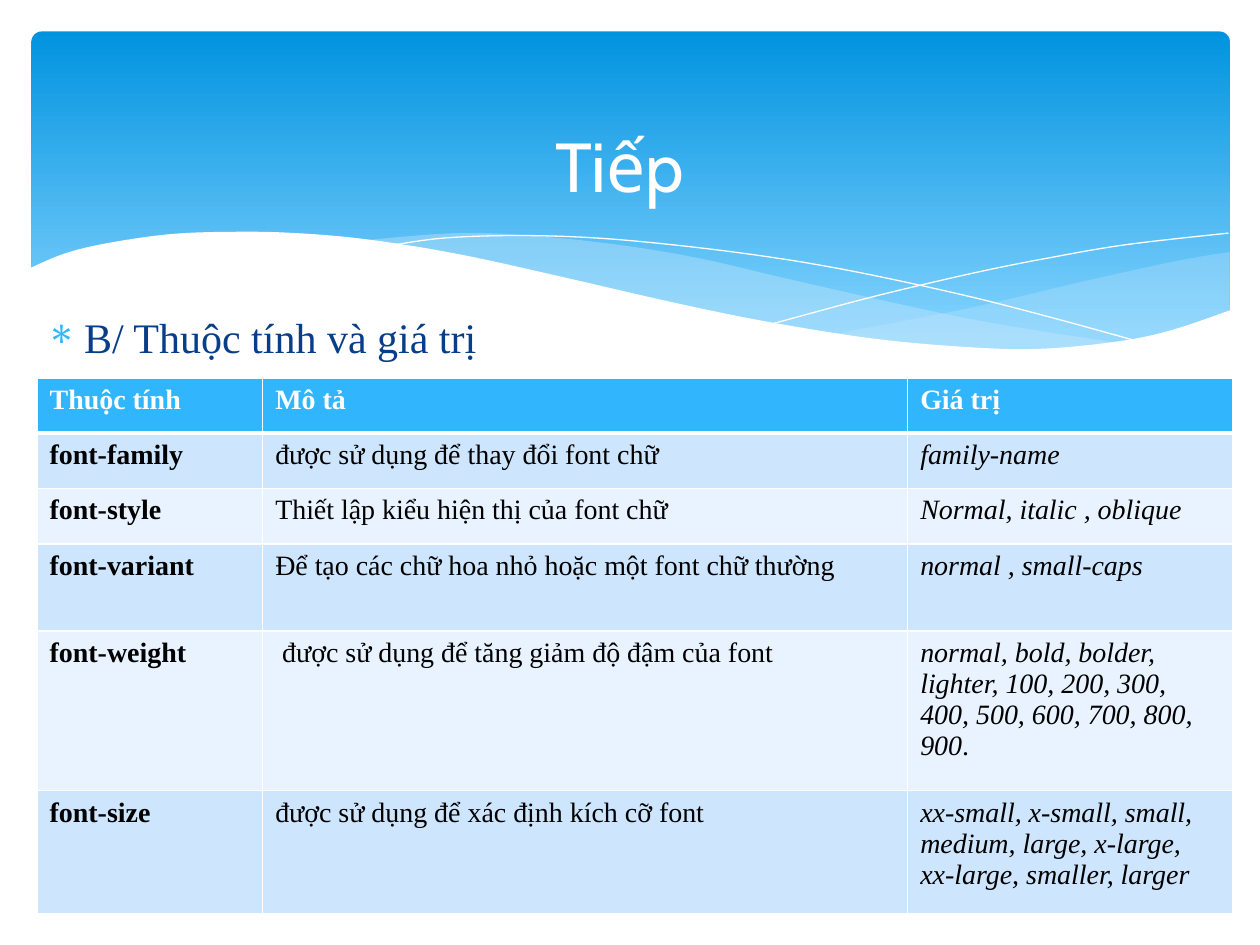
from dataclasses import dataclass

from lxml.etree import SubElement
from pptx import Presentation
from pptx.dml.color import RGBColor as Rgb
from pptx.enum.shapes import MSO_SHAPE as Shape
from pptx.enum.text import MSO_ANCHOR as Anchor, PP_ALIGN as Align
from pptx.oxml.ns import qn
from pptx.util import Pt


@dataclass(frozen=True)
class Theme:
    white: str = "FFFFFF"
    black: str = "000000"
    accent: str = "31B6FD"
    heading: str = "073E87"
    mist: str = "C6E7FC"
    sky: tuple = ("0293E0", "83D3FE")
    bands: tuple = ("CEE5FE", "E8F3FF")
    title_font: str = "Cabin"
    body_font: str = "Times New Roman"
    title_size: float = 39.6
    body_size: float = 24
    table_size: float = 16


THEME = Theme()
TITLE = "Tiếp"
SUBTITLE = "B/ Thuộc tính và giá trị"
HEADER = ("Thuộc tính", "Mô tả", "Giá trị")
# A value given as a pair has an italic part and an upright ending.
PROPERTIES = [
    ("font-family", "được sử dụng để thay đổi font chữ", "family-name"),
    ("font-style", "Thiết lập kiểu hiện thị của font chữ", "Normal, italic , oblique"),
    ("font-variant", "Để tạo các chữ hoa nhỏ hoặc một font chữ thường", "normal , small-caps"),
    ("font-weight", " được sử dụng để tăng giảm độ đậm của font",
     ("normal, bold, bolder, lighter, 100, 200, 300, 400, 500, 600, 700, 800, 900", ".")),
    ("font-size", "được sử dụng để xác định kích cỡ font",
     "xx-small, x-small, small, medium, large, x-large, xx-large, smaller, larger"),
]
COLUMN_WIDTHS = (128.9, 368.6, 185.8)
ROW_HEIGHTS = (31.4, 31.7, 31.7, 49.7, 91.4, 70.2)

# Knots of the wave edges, in points.
RIGHT_WAVE = [
    [(702.7, 144), (673, 149), (620, 160.6), (561, 174.5), (508, 185), (476, 191)],
    [(476, 191), (518, 196), (554, 199), (593, 199.8), (628, 197.5), (663, 191),
     (683, 185), (702.7, 177.8)],
]
MIDDLE_WAVE = [
    [(643, 196.5), (581, 187), (533.5, 178), (453, 160), (399.6, 147.6), (352, 139.7),
     (302.4, 134.6), (260, 133.2), (206, 137.5)],
    [(206, 137.5), (260.6, 146), (323, 160), (381.6, 173), (445, 186), (500, 194.4),
     (548, 199.4), (589, 200.2), (617, 199.4), (643, 196.5)],
]
FALLING_LINE = [
    [(222.5, 140.4), (254, 136), (299.5, 134.6), (352, 136.8), (419, 144), (479, 153.4),
     (547, 167.8), (598, 180.7), (653, 195.8)],
]
RISING_LINE = [
    [(441.5, 185), (500.4, 169.2), (558.7, 155.5), (602, 146.9), (644.4, 139.7), (702, 133.2)],
]
WHITE_WAVE = [
    [(703.4, 177.1), (669.6, 188.6), (638.6, 195.1), (592.6, 199.4), (548, 198),
     (495.4, 193), (434, 183), (381, 172), (322, 158.4), (263, 145.4), (210, 136.8),
     (165.6, 133), (127.4, 132.5), (95, 134), (61, 139), (37.4, 144.7), (16.6, 153.4)],
    [(16.6, 236.9), (703.4, 236.9)],
]


def smooth(knots, steps=6):
    """Return points on a Catmull-Rom curve through the knots."""
    if len(knots) < 3:
        return knots
    padded = [knots[0], *knots, knots[-1]]
    points = [knots[0]]
    for before, start, end, after in zip(padded, padded[1:], padded[2:], padded[3:]):
        for step in range(1, steps + 1):
            t = step / steps
            points.append(tuple(
                (2 * b + (c - a) * t + (2 * a - 5 * b + 4 * c - d) * t**2
                 + (3 * b - a - 3 * c + d) * t**3) / 2
                for a, b, c, d in zip(before, start, end, after)))
    return points


def add_curve(slide, edges, closed):
    units = 100
    points = [(round(x * units), round(y * units)) for edge in edges for x, y in smooth(edge)]
    builder = slide.shapes.build_freeform(*points[0], scale=Pt(1) / units)
    builder.add_line_segments(points[1:], close=closed)
    curve = builder.convert_to_shape()
    curve.shadow.inherit = False
    return curve


def add_wave(slide, edges, color, opacity=100):
    wave = add_curve(slide, edges, True)
    wave.line.fill.background()
    wave.fill.solid()
    wave.fill.fore_color.rgb = Rgb.from_string(color)
    if opacity < 100:
        tint = wave.fill._xPr.find(".//" + qn("a:srgbClr"))
        SubElement(tint, qn("a:alpha"), val=str(opacity * 1000))


def add_hairline(slide, edges):
    line = add_curve(slide, edges, False)
    line.fill.background()
    line.line.color.rgb = Rgb.from_string(THEME.white)
    line.line.width = Pt(0)


def add_banner(slide):
    banner = slide.shapes.add_shape(Shape.ROUNDED_RECTANGLE, Pt(18), Pt(18), Pt(684.7), Pt(194.4))
    banner.adjustments[0] = 0.03
    banner.shadow.inherit = False
    banner.line.fill.background()
    banner.fill.gradient()
    banner.fill.gradient_angle = 270
    for stop, color, position in zip(banner.fill.gradient_stops, THEME.sky, (0, 0.9)):
        stop.color.rgb = Rgb.from_string(color)
        stop.position = position


def style(font, name, size, color):
    font.name, font.size = name, Pt(size)
    font.color.rgb = Rgb.from_string(color)


def add_text(slide, text, frame, font_name, size, color):
    box = slide.shapes.add_textbox(*map(Pt, frame))
    box.text_frame.word_wrap = True
    para = box.text_frame.paragraphs[0]
    para.text = text
    style(para.font, font_name, size, color)
    return box, para


def add_bullet(para, symbol, color):
    props = para._p.get_or_add_pPr()
    props.set("marL", str(Pt(23)))
    props.set("indent", str(Pt(-21.6)))
    bullet_color = SubElement(props, qn("a:buClr"))
    SubElement(bullet_color, qn("a:srgbClr"), val=color)
    SubElement(props, qn("a:buChar"), char=symbol)
    props.append(props.find(qn("a:defRPr")))


def set_borders(cell, bottom_width):
    props = cell._tc.get_or_add_tcPr()
    for side, width in (("L", 1), ("R", 1), ("T", 1), ("B", bottom_width)):
        line = SubElement(props, qn(f"a:ln{side}"), w=str(Pt(width)))
        SubElement(SubElement(line, qn("a:solidFill")), qn("a:srgbClr"), val=THEME.white)


def fill_cell(cell, content, row, column):
    is_header = row == 0
    set_borders(cell, 3 if is_header else 1)
    cell.fill.solid()
    cell.fill.fore_color.rgb = Rgb.from_string(
        THEME.accent if is_header else THEME.bands[(row - 1) % 2])
    para = cell.text_frame.paragraphs[0]
    parts = (content,) if isinstance(content, str) else content
    for index, text in enumerate(parts):
        span = para.add_run()
        span.text = text
        style(span.font, THEME.body_font, THEME.table_size,
              THEME.white if is_header else THEME.black)
        span.font.bold = is_header or column == 0
        span.font.italic = not is_header and column == 2 and index == 0


def add_property_table(slide):
    rows = [HEADER, *PROPERTIES]
    table = slide.shapes.add_table(
        len(rows), len(HEADER), Pt(21.2), Pt(216),
        Pt(sum(COLUMN_WIDTHS)), Pt(sum(ROW_HEIGHTS))).table
    for column, width in zip(table.columns, COLUMN_WIDTHS):
        column.width = Pt(width)
    for row, height in zip(table.rows, ROW_HEIGHTS):
        row.height = Pt(height)
    for r, contents in enumerate(rows):
        for c, content in enumerate(contents):
            fill_cell(table.cell(r, c), content, r, c)


def main():
    deck = Presentation()
    deck.slide_width, deck.slide_height = Pt(720), Pt(540)
    page = deck.slides.add_slide(deck.slide_layouts[6])
    add_banner(page)
    add_wave(page, RIGHT_WAVE, THEME.mist, 29)
    add_wave(page, MIDDLE_WAVE, THEME.mist, 40)
    add_hairline(page, FALLING_LINE)
    add_hairline(page, RISING_LINE)
    add_wave(page, WHITE_WAVE, THEME.white)
    _, para = add_text(page, SUBTITLE, (18, 174.4, 684, 36),
                       THEME.body_font, THEME.body_size, THEME.heading)
    add_bullet(para, "∗", THEME.accent)
    box, para = add_text(page, TITLE, (30, 77.8, 648, 33),
                         THEME.title_font, THEME.title_size, THEME.white)
    box.text_frame.vertical_anchor = Anchor.MIDDLE
    para.alignment = Align.CENTER
    add_property_table(page)
    deck.save("out.pptx")


if __name__ == "__main__":
    main()
